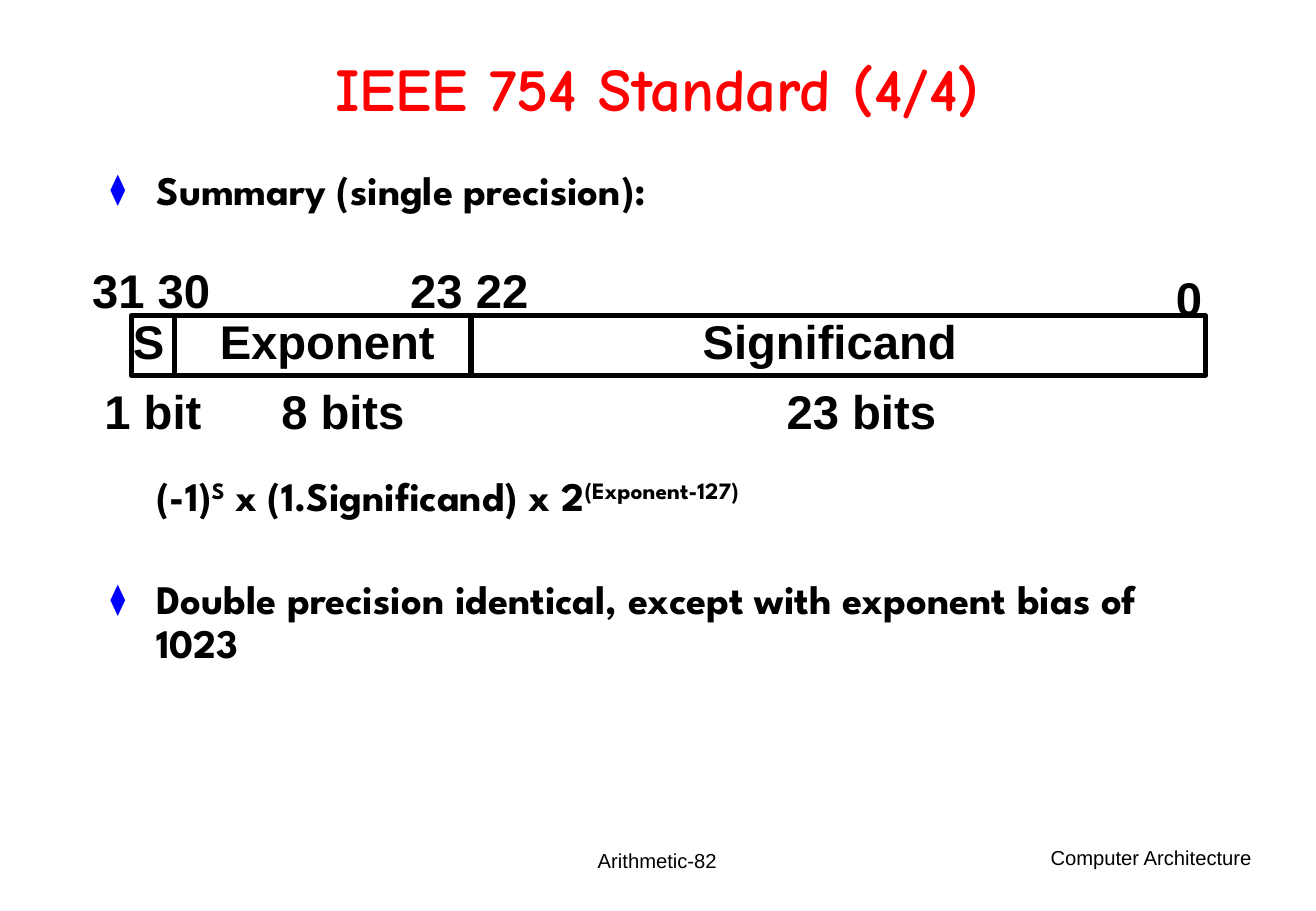
from dataclasses import dataclass

from lxml import etree
from pptx import Presentation
from pptx.dml.color import RGBColor
from pptx.enum.shapes import MSO_CONNECTOR, MSO_SHAPE
from pptx.enum.text import MSO_ANCHOR, MSO_AUTO_SIZE, PP_ALIGN
from pptx.oxml.ns import qn
from pptx.util import Inches, Pt

LEFT, CENTER, RIGHT = PP_ALIGN.LEFT, PP_ALIGN.CENTER, PP_ALIGN.RIGHT
TOP, MIDDLE = MSO_ANCHOR.TOP, MSO_ANCHOR.MIDDLE
NO_AUTOFIT = MSO_AUTO_SIZE.NONE
RECTANGLE = MSO_SHAPE.RECTANGLE
STRAIGHT = MSO_CONNECTOR.STRAIGHT

COLUMNS, ROWS = 108.4, 75  # square grid cells, ten to the inch


@dataclass(frozen=True)
class Theme:
    ink: str = "000000"
    heading: str = "FF0000"
    bullet: str = "0000FF"
    title_font: str = "Comic Neue"
    body_font: str = "League Spartan"
    label_font: str = "Arial"
    title_size: int = 36
    body_size: int = 24
    label_size: int = 28
    footer_size: int = 12
    line_width: int = 3


def cells(n):
    return Inches(n / 10)


def write(p, text, *, font, size, color, bold=True, baseline=0):
    """Add one formatted run to a paragraph."""
    r = p.add_run()
    r.text = text
    r.font.name, r.font.size, r.font.bold = font, Pt(size), bold
    r.font.color.rgb = RGBColor.from_string(color)
    if baseline:
        r.font._element.set("baseline", str(baseline * 1000))


class SlideBuilder:
    def __init__(self, prs, theme):
        self.theme = theme
        self.slide = prs.slides.add_slide(prs.slide_layouts[1])

    def place(self, sp, x, y, w, h):
        sp.left, sp.top, sp.width, sp.height = map(cells, (x, y, w, h))

    def title(self, text, *box):
        t, sp = self.theme, self.slide.shapes.title
        self.place(sp, *box)
        tf = sp.text_frame
        tf.auto_size, tf.vertical_anchor = NO_AUTOFIT, MIDDLE
        p = tf.paragraphs[0]
        p.alignment, p.line_spacing = CENTER, 0.85
        write(p, text, font=t.title_font, size=t.title_size, color=t.heading)

    def body(self, items, *box):
        """Each item: runs of (text, baseline), bulleted or not, space before."""
        t, sp = self.theme, self.slide.placeholders[1]
        self.place(sp, *box)
        tf = sp.text_frame
        tf.auto_size, tf.vertical_anchor = NO_AUTOFIT, TOP
        for i, (runs, bulleted, gap) in enumerate(items):
            p = tf.paragraphs[0] if i == 0 else tf.add_paragraph()
            self.bullet(p, bulleted)
            p.alignment, p.line_spacing, p.space_before = LEFT, 0.9, Pt(gap)
            for text, baseline in runs:
                write(p, text, font=t.body_font, size=t.body_size,
                      color=t.ink, baseline=baseline)

    def bullet(self, p, shown):
        pPr = p._p.get_or_add_pPr()
        indent = cells(3.8)
        pPr.set("marL", str(indent))
        pPr.set("indent", str(-indent if shown else 0))
        if not shown:
            etree.SubElement(pPr, qn("a:buNone"))
            return
        color = etree.SubElement(pPr, qn("a:buClr"))
        etree.SubElement(color, qn("a:srgbClr"), val=self.theme.bullet)
        etree.SubElement(pPr, qn("a:buSzPct"), val="75000")
        etree.SubElement(pPr, qn("a:buChar"), char="⧫")

    def text(self, text, *box, size, bold, align=CENTER, anchor=TOP):
        sp = self.slide.shapes.add_textbox(*map(cells, box))
        tf = sp.text_frame
        tf.word_wrap, tf.vertical_anchor = False, anchor
        p = tf.paragraphs[0]
        p.alignment = align
        write(p, text, font=self.theme.label_font, size=size,
              color=self.theme.ink, bold=bold)

    def label(self, text, center, y):
        w = 3 + 2.6 * len(text)  # wider than any label's text
        self.text(text, center - w / 2, y, w, 5.7,
                  size=self.theme.label_size, bold=True)

    def frame(self, *box):
        sp = self.slide.shapes.add_shape(RECTANGLE, *map(cells, box))
        sp.shadow.inherit = False
        sp.fill.background()
        self.stroke(sp)

    def divider(self, x, y, h):
        line = self.slide.shapes.add_connector(
            STRAIGHT, *map(cells, (x, y, x, y + h)))
        self.stroke(line)
        etree.SubElement(line._element.spPr, qn("a:effectLst"))

    def stroke(self, sp):
        sp.line.color.rgb = RGBColor.from_string(self.theme.ink)
        sp.line.width = Pt(self.theme.line_width)


def main():
    prs = Presentation()
    prs.slide_width, prs.slide_height = cells(COLUMNS), cells(ROWS)
    theme = Theme()
    s = SlideBuilder(prs, theme)

    # Title and list, with room for the bit layout after the first item
    formula = [("(-1)", 0), ("S", 30), (" x (1.Significand) x 2", 0),
               ("(Exponent-127)", 30)]
    double = "Double precision identical, except with exponent bias of 1023"
    s.title("IEEE 754 Standard (4/4)", 8.1, 2.7, 92.1, 9.9)
    s.body([([("Summary (single precision):", 0)], True, 0),
            (formula, False, 156),
            ([(double, 0)], True, 35)], 8.1, 13.5, 92.1, 55.6)

    # Word frame and field borders
    top, height = 26, 4.9
    s.frame(10.8, top, 88.5, height)
    for x in (14.4, 38.8):
        s.divider(x, top, height)

    # Bit numbers, field names and field widths, by row and centre column
    label_rows = {
        21: [("31", 9.75), ("30", 15.15), ("23", 35.95), ("22", 41.35)],
        21.7: [("0", 97.95)],
        25.2: [("S", 12.25), ("Exponent", 26.95), ("Significand", 68.35)],
        31: [("1 bit", 12.6), ("8 bits", 28.25), ("23 bits", 70.95)],
    }
    for y, labels in label_rows.items():
        for text, center in labels:
            s.label(text, center, y)

    # Footer
    s.text("Arithmetic-82", 37, 68.3, 34.3, 5,
           size=theme.footer_size, bold=False, anchor=MIDDLE)
    s.text("Computer Architecture", 81.2, 69.1, 22.9, 5,
           size=theme.footer_size, bold=False, align=RIGHT)

    prs.save("out.pptx")


if __name__ == "__main__":
    main()
